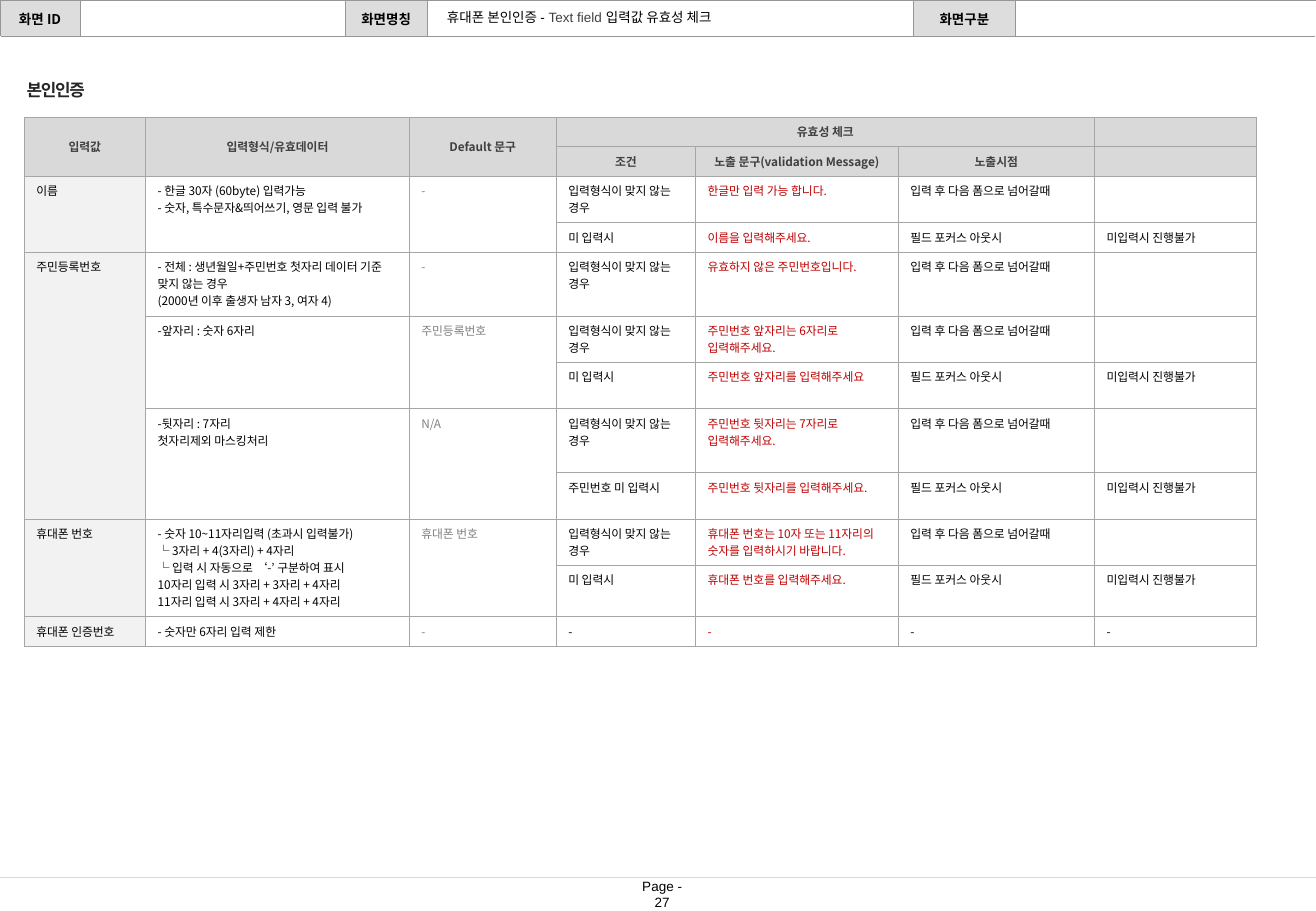
from lxml.etree import SubElement
from pptx import Presentation
from pptx.dml.color import RGBColor
from pptx.enum.shapes import MSO_CONNECTOR as Connector
from pptx.enum.text import MSO_ANCHOR as Anchor, PP_ALIGN as Align
from pptx.oxml.ns import qn
from pptx.util import Pt

KOREAN = "Noto Sans CJK KR"
WIDTH, HEIGHT = 780, 540
FOOTER_TOP = 520

HEADER_WIDTHS = [47.5, 157, 49, 288, 60.5, 178]
HEADER_LABELS = ["화면 ID", "", "화면명칭", "", "화면구분", ""]

COLUMN_WIDTHS = [72, 156.3, 87.1, 82.6, 120.2, 116.3, 96]
ROW_HEIGHTS = [17.4, 17.4, 27.7, 17.4, 37.9, 27.5, 27.5, 37.9, 27.5, 27.5, 30.5, 17.4]
COLUMN_COLOURS = {2: "808080", 4: "C00000"}
HEADING_ROWS = 2
MERGES = [
    (0, 0, 1, 0), (0, 1, 1, 1), (0, 2, 1, 2), (0, 3, 0, 5),
    (2, 0, 3, 0), (2, 1, 3, 1), (2, 2, 3, 2), (4, 0, 8, 0),
    (5, 1, 6, 1), (5, 2, 6, 2), (7, 1, 8, 1), (7, 2, 8, 2),
    (9, 0, 10, 0), (9, 1, 10, 1), (9, 2, 10, 2),
]
MISMATCH, NEXT_FORM = "입력형식이 맞지 않는 경우", "입력 후 다음 폼으로 넘어갈때"
MISSING, FOCUS_OUT, BLOCKED = "미 입력시", "필드 포커스 아웃시", "미입력시 진행불가"
PHONE_FORMAT = [
    "- 숫자 10~11자리입력 (초과시 입력불가)",
    "└ 3자리 + 4(3자리) + 4자리",
    "└ 입력 시 자동으로 ‘-’ 구분하여 표시",
    "10자리 입력 시 3자리 + 3자리 + 4자리",
    "11자리 입력 시 3자리 + 4자리 + 4자리",
]
NAME_FORMAT = ["- 한글 30자 (60byte) 입력가능", "- 숫자, 특수문자&띄어쓰기, 영문 입력 불가"]
ID_FORMAT = "- 전체 : 생년월일+주민번호 첫자리 데이터 기준 맞지 않는 경우\v(2000년 이후 출생자 남자 3, 여자 4)"
ROWS = [
    ["입력값", "입력형식/유효데이터", "Default 문구", "유효성 체크", "", "", ""],
    ["", "", "", "조건", "노출 문구(validation Message)", "노출시점", ""],
    ["이름", NAME_FORMAT, "-", MISMATCH, "한글만 입력 가능 합니다.", NEXT_FORM, ""],
    ["", "", "", MISSING, "이름을 입력해주세요.", FOCUS_OUT, BLOCKED],
    ["주민등록번호", ID_FORMAT, "-", MISMATCH, "유효하지 않은 주민번호입니다.", NEXT_FORM, ""],
    ["", "-앞자리 : 숫자 6자리", "주민등록번호", MISMATCH,
     "주민번호 앞자리는 6자리로 입력해주세요.", NEXT_FORM, ""],
    ["", "", "", MISSING, "주민번호 앞자리를 입력해주세요", FOCUS_OUT, BLOCKED],
    ["", "-뒷자리 : 7자리\v첫자리제외 마스킹처리", "N/A", MISMATCH,
     "주민번호 뒷자리는 7자리로 입력해주세요.", NEXT_FORM, ""],
    ["", "", "", "주민번호 미 입력시", "주민번호 뒷자리를 입력해주세요.", FOCUS_OUT, BLOCKED],
    ["휴대폰 번호", PHONE_FORMAT, "휴대폰 번호", MISMATCH,
     "휴대폰 번호는 10자 또는 11자리의 숫자를 입력하시기 바랍니다.", NEXT_FORM, ""],
    ["", "", "", MISSING, "휴대폰 번호를 입력해주세요.", FOCUS_OUT, BLOCKED],
    ["휴대폰 인증번호", "- 숫자만 6자리 입력 제한", "-", "-", "-", "-", "-"],
]


def colour(value):
    return RGBColor.from_string(value)


def format_run(run, size, font, shade, bold, spacing=0):
    run.font.size = Pt(size)
    run.font.name = font
    run.font.bold = bold
    run.font.color.rgb = colour(shade)
    properties = run.font._element
    SubElement(properties, qn("a:ea")).set("typeface", KOREAN)
    if spacing:
        properties.set("spc", str(round(spacing * 100)))


def write_text(frame, content, size=7, font=KOREAN, shade="000000", bold=False,
               align=Align.LEFT, spacing=0):
    lines = content if isinstance(content, list) else [content]
    for index, line in enumerate(lines):
        paragraph = frame.paragraphs[0] if index == 0 else frame.add_paragraph()
        paragraph.alignment = align
        for text, text_shade in line if isinstance(line, list) else [(line, shade)]:
            for part_index, part in enumerate(text.split("\v")):
                if part_index:
                    paragraph.add_line_break()
                if part:
                    run = paragraph.add_run()
                    run.text = part
                    format_run(run, size, font, text_shade, bold, spacing)
        for line_break in paragraph._p.findall(qn("a:br")):
            SubElement(line_break, qn("a:rPr")).set("sz", str(size * 100))
        if not paragraph.runs:
            SubElement(paragraph._p, qn("a:endParaRPr")).set("sz", str(size * 100))


def add_text(slide, left, top, width, height, content, insets=(0, 0), wrap=False, **formatting):
    frame = slide.shapes.add_textbox(Pt(left), Pt(top), Pt(width), Pt(height)).text_frame
    frame.word_wrap = wrap
    frame.vertical_anchor = Anchor.MIDDLE
    frame.margin_left = frame.margin_right = Pt(insets[0])
    frame.margin_top = frame.margin_bottom = Pt(insets[1])
    write_text(frame, content, **formatting)


def add_grid(slide, left, top, widths, heights):
    table = slide.shapes.add_table(len(heights), len(widths), Pt(left), Pt(top),
                                   Pt(sum(widths)), Pt(sum(heights))).table
    table.first_row = table.horz_banding = False
    for column, width in zip(table.columns, widths):
        column.width = Pt(width)
    for row, height in zip(table.rows, heights):
        row.height = Pt(height)
    return table


def style_cell(cell, fill, border, sides="LRTB", anchor=Anchor.TOP):
    cell.margin_left = cell.margin_right = Pt(7.2)
    cell.margin_top = cell.margin_bottom = Pt(3.6)
    cell.vertical_anchor = anchor
    for side in sides:
        line = SubElement(cell._tc.get_or_add_tcPr(), qn(f"a:ln{side}"), w=str(Pt(0.25)))
        solid = SubElement(line, qn("a:solidFill"))
        SubElement(solid, qn("a:srgbClr")).set("val", border)
    if fill:
        cell.fill.solid()
        cell.fill.fore_color.rgb = colour(fill)
    else:
        cell.fill.background()


def add_header(slide, left, top, height):
    table = add_grid(slide, left, top, HEADER_WIDTHS, [21.6, height - 21.6])
    table.cell(1, 0).merge(table.cell(1, len(HEADER_WIDTHS) - 1))
    for index, label in enumerate(HEADER_LABELS):
        cell = table.cell(0, index)
        style_cell(cell, "DDDDDD" if label else "FFFFFF", "969696", anchor=Anchor.MIDDLE)
        cell.margin_left = cell.margin_right = Pt(5.8)
        write_text(cell.text_frame, label, size=8, bold=True, align=Align.CENTER)
        style_cell(table.cell(1, index), None, "969696", sides="T")
    title = [[("휴대폰 본인인증 - ", "000000"), ("Text field ", "404040"),
              ("입력값 유효성 체크", "000000")]]
    add_text(slide, left + 257, top + 1.5, 281.5, 17.5, title,
             insets=(7.9, 3.6), wrap=True, size=8, font="Arial")


def add_validation_table(slide, left, top):
    add_text(slide, left, top - 22.5, 37.5, 12.3, "본인인증", size=10, shade="262626",
             bold=True, align=Align.CENTER, spacing=-0.7)
    table = add_grid(slide, left, top, COLUMN_WIDTHS, ROW_HEIGHTS)
    for row, column, last_row, last_column in MERGES:
        table.cell(row, column).merge(table.cell(last_row, last_column))
    for row, contents in enumerate(ROWS):
        heading = row < HEADING_ROWS
        for column, content in enumerate(contents):
            cell = table.cell(row, column)
            if heading:
                style_cell(cell, "D9D9D9", "A6A6A6", anchor=Anchor.MIDDLE)
                write_text(cell.text_frame, content, shade="404040", bold=True,
                           align=Align.CENTER)
            else:
                style_cell(cell, "FFFFFF" if column else "F2F2F2", "A6A6A6")
                write_text(cell.text_frame, content,
                           shade=COLUMN_COLOURS.get(column, "000000"))


def add_footer(slide, top, width, height):
    add_text(slide, width / 2 - 14.5, top, 34, height, "Page - 27",
             size=8, font="Arial", align=Align.CENTER)
    rule = slide.shapes.add_connector(Connector.STRAIGHT, 0, Pt(top), Pt(width), Pt(top))
    rule.line.color.rgb = colour("D9D9D9")
    rule.line.width = Pt(0.75)
    SubElement(rule._element.spPr, qn("a:effectLst"))


def main():
    presentation = Presentation()
    presentation.slide_width, presentation.slide_height = Pt(WIDTH), Pt(HEIGHT)
    slide = presentation.slides.add_slide(presentation.slide_layouts[6])
    add_header(slide, 0, 0, FOOTER_TOP)
    add_footer(slide, FOOTER_TOP, WIDTH, HEIGHT - FOOTER_TOP)
    add_validation_table(slide, 14.3, 69.4)
    presentation.save("out.pptx")


if __name__ == "__main__":
    main()
